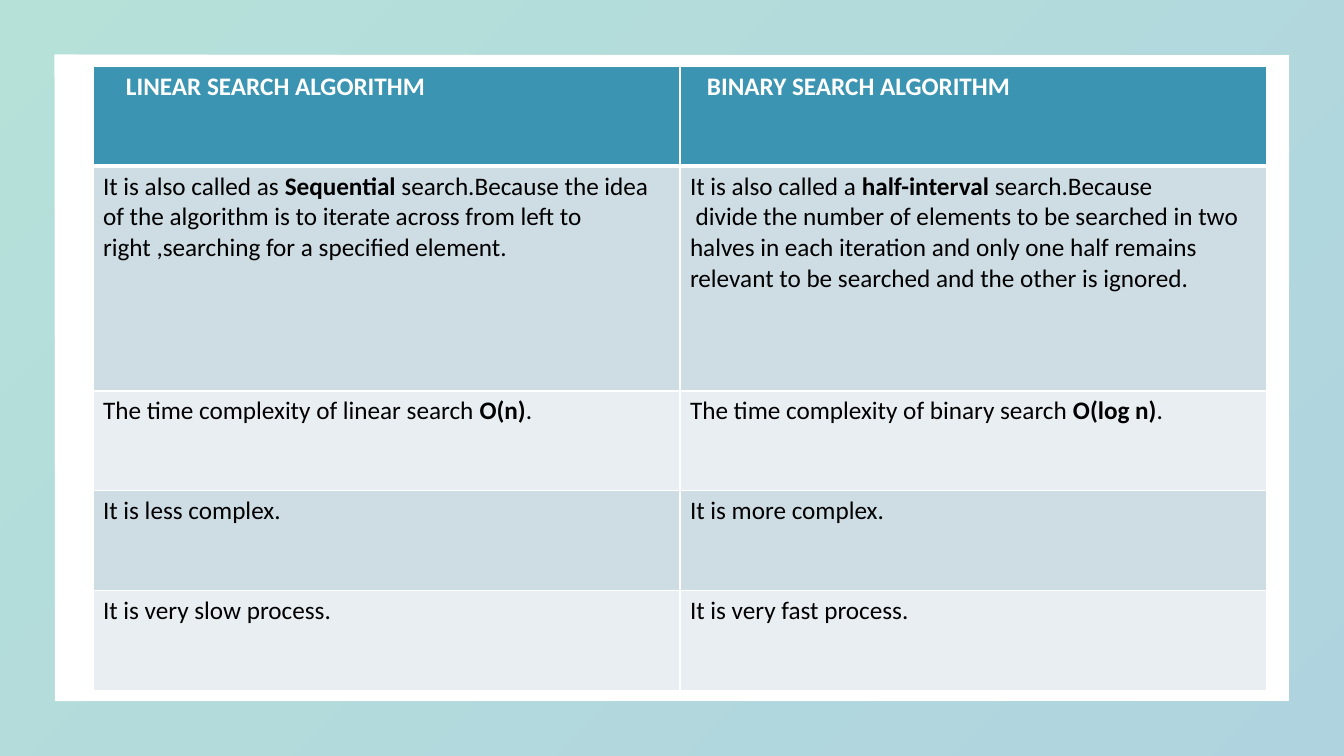
import pptx
import pptx.util
import pptx.dml.color
import pptx.enum.shapes
import pptx.oxml
import pptx.oxml.ns

ROWS = [
    ("*LINEAR SEARCH ALGORITHM*", "*BINARY SEARCH ALGORITHM*"),
    ("It is also called as *Sequential *search.Because the idea of the algorithm is "
     "to iterate across from left to right ,searching for a specified element.",
     "It is also called a *half-interval *search.Because\n"
     "\u00a0divide the number of elements to be searched in two halves in each iteration "
     "and only one half remains relevant to be searched and the other is ignored."),
    ("The time complexity of linear search\u00a0*O(n)*.",
     "The time complexity of binary search\u00a0*O(log n)*."),
    ("It is less complex.", "It is more complex."),
    ("It is very slow process.", "It is very fast process."),
]
HIGHS = [100, 225, 100, 100, 100]
HEAD, BANDS = "3B94B1", ("E8EEF2", "CEDCE4")
INSETS = (33, 27)


def px(n):
    """Turn picture pixels into EMU."""
    return pptx.util.Emu(round(n * 914400 / 100.8))


def color(code):
    """Turn a hex string into a colour."""
    return pptx.dml.color.RGBColor.from_string(code)


def write(frame, text, font="Calibri", size=18, ink="000000"):
    """Fill a text frame, with bold between asterisks."""
    for i, line in enumerate(text.split("\n")):
        para = frame.add_paragraph() if i else frame.paragraphs[0]
        for j, part in enumerate(line.split("*")):
            if part:
                run = para.add_run()
                run.text = part
                run.font.name = font
                run.font.size = pptx.util.Pt(size)
                run.font.bold = j % 2 == 1
                run.font.color.rgb = color(ink)


def edge(cell, sides):
    """Draw white cell borders from a map of side to width in points."""
    props = cell._tc.get_or_add_tcPr()
    for i, (side, width) in enumerate(sides.items()):
        props.insert(i, pptx.oxml.parse_xml(
            f'<a:ln{side} {pptx.oxml.ns.nsdecls("a")} w="{pptx.util.Pt(width)}">'
            '<a:solidFill><a:srgbClr val="FFFFFF"/></a:solidFill>'
            f'</a:ln{side}>'))


class Deck:
    """Hold the style and the current slide."""

    def __init__(self):
        """Start a deck with one blank slide."""
        self.show = pptx.Presentation()
        self.show.slide_width, self.show.slide_height = px(1344), px(756)
        self.slide = self.show.slides.add_slide(self.show.slide_layouts[6])

    def border(self, left, top, wide, high, thick, stops, alpha):
        """Add a frame with a clear diagonal gradient."""
        shape = self.slide.shapes.add_shape(
            pptx.enum.shapes.MSO_SHAPE.FRAME, px(left), px(top), px(wide), px(high))
        shape.shadow.inherit = False
        shape.adjustments[0] = thick / high
        shape.line.fill.background()
        shape.fill.gradient()
        shape.fill.gradient_angle = 315
        for stop, code, place in zip(shape.fill.gradient_stops, stops, (0, 1)):
            stop.color.rgb = color(code)
            stop.position = place
            for tint in stop._gs:
                tint.append(pptx.oxml.parse_xml(
                    f'<a:alpha {pptx.oxml.ns.nsdecls("a")} val="{alpha * 1000}"/>'))

    def table(self, left, top, wide, rows, highs):
        """Add a banded table with a heading row."""
        grid = self.slide.shapes.add_table(
            len(rows), len(rows[0]), px(left), px(top), px(wide), px(sum(highs))).table
        for col in grid.columns:
            col.width = px(wide / len(rows[0]))
        for r, (row, high) in enumerate(zip(rows, highs)):
            grid.rows[r].height = px(high)
            for c, text in enumerate(row):
                cell = grid.cell(r, c)
                cell.fill.solid()
                cell.fill.fore_color.rgb = color(BANDS[r % 2] if r else HEAD)
                if r == 0:
                    cell.margin_left = px(INSETS[c])
                edge(cell, {"L": 1, "R": 1, "T": 3 if r == 1 else 1, "B": 1 if r else 3})
                write(cell.text_frame, text, ink="000000" if r else "FFFFFF")


deck = Deck()
deck.border(0, 0, 1344, 756, 54.4, ("46B4A1", HEAD), 40)
deck.table(93, 66, 1174, ROWS, HIGHS)
deck.show.save("out.pptx")
